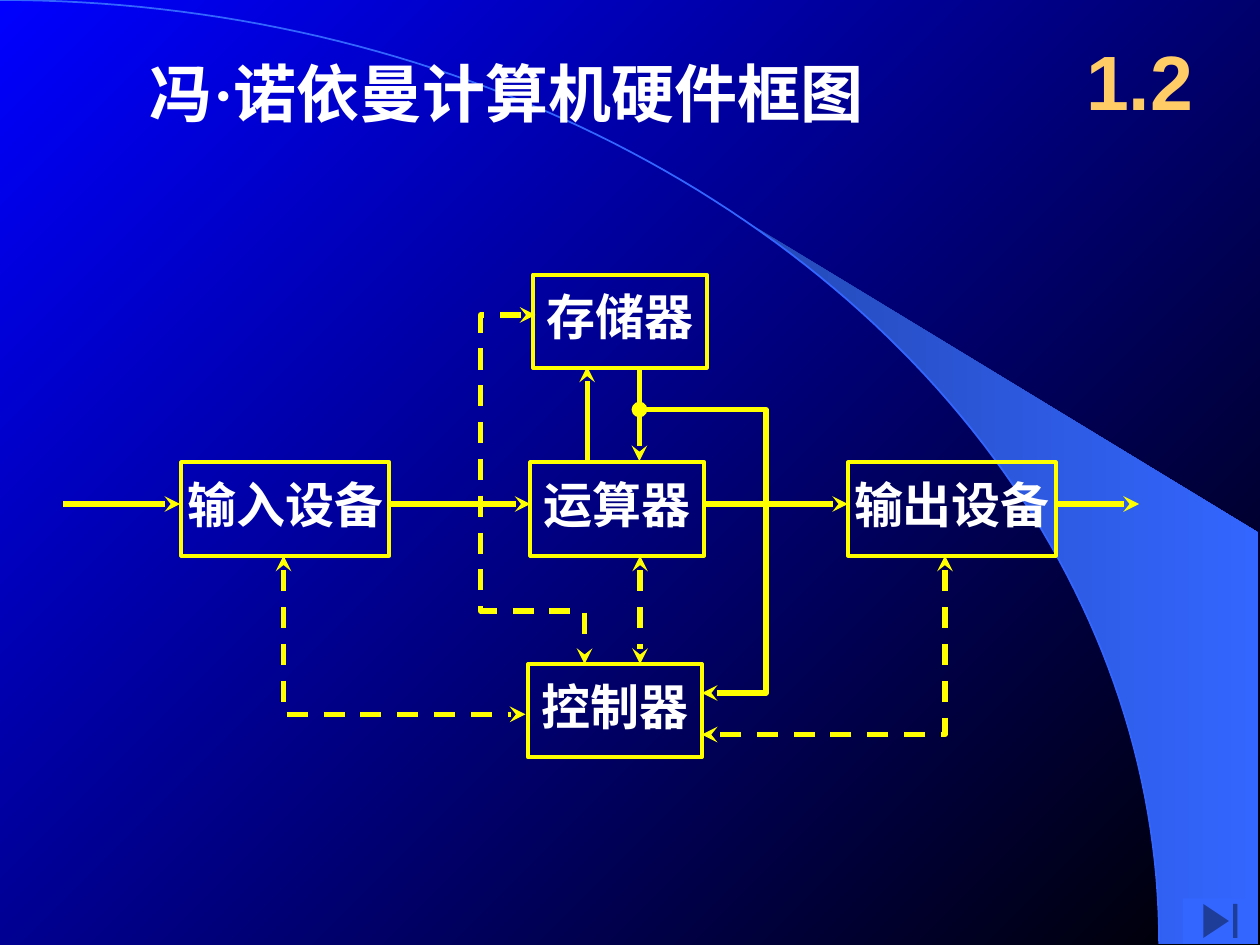
from dataclasses import dataclass
from math import cos, radians, sin

from lxml import etree
from pptx import Presentation
from pptx.dml.color import RGBColor
from pptx.enum.dml import MSO_LINE
from pptx.enum.shapes import MSO_CONNECTOR, MSO_SHAPE
from pptx.enum.text import MSO_ANCHOR, PP_ALIGN
from pptx.oxml.ns import qn
from pptx.util import Emu, Inches, Pt

RECTANGLE = MSO_SHAPE.RECTANGLE
END_BUTTON = MSO_SHAPE.ACTION_BUTTON_END
STRAIGHT = MSO_CONNECTOR.STRAIGHT
DASH = MSO_LINE.DASH
MIDDLE = MSO_ANCHOR.MIDDLE
CENTER = PP_ALIGN.CENTER

SLIDE_WIDTH, SLIDE_HEIGHT = Inches(10), Inches(7.5)
COLUMNS, ROWS = 100, 75
Point = tuple[float, float]


@dataclass(frozen=True)
class Theme:
    blue: RGBColor = RGBColor(0, 0, 255)
    black: RGBColor = RGBColor(0, 0, 0)
    white: RGBColor = RGBColor(255, 255, 255)
    diagram: RGBColor = RGBColor(255, 255, 0)
    number: RGBColor = RGBColor(255, 204, 102)
    accent: RGBColor = RGBColor(0x33, 0x66, 0xFF)
    accent_dark: RGBColor = RGBColor(0x24, 0x49, 0xB6)
    chinese: str = "Noto Sans CJK SC"
    serif: str = "Times New Roman"
    sans: str = "Arial"
    number_size: Pt = Pt(44)
    title_size: Pt = Pt(36)
    label_size: Pt = Pt(28)
    arc_line: Pt = Pt(1)
    box_line: Pt = Pt(2.25)
    wire_line: Pt = Pt(3)


THEME = Theme()


@dataclass(frozen=True)
class Unit:
    label: str
    column: float
    row: float
    width: float
    height: float = 7.4


@dataclass(frozen=True)
class Wire:
    points: tuple[Point, ...]
    head: str = ""
    dashed: bool = False


def control(*points: Point) -> Wire:
    return Wire(points, head="stealth", dashed=True)


def data(*points: Point, head: str = "") -> Wire:
    return Wire(points, head=head)


UNITS = (
    Unit("存储器", 42.3, 21.8, 13.8),
    Unit("输入设备", 14.4, 36.7, 16.5),
    Unit("运算器", 42.1, 36.7, 13.8),
    Unit("控制器", 41.9, 52.7, 13.8),
    Unit("输出设备", 67.3, 36.7, 16.5),
)

WIRES = (
    control((22.5, 44.1), (22.5, 56.7), (41.7, 56.7)),
    control((42.5, 25), (38.15, 25), (38.15, 48.5), (46.4, 48.5), (46.4, 52.7)),
    control((50.8, 44.1), (50.8, 52.7)),
    control((75, 44.1), (75, 58.3), (55.7, 58.3)),
    data((46.6, 36.7), (46.6, 29.1)),
    data((50.75, 29.2), (50.75, 36.6)),
    data((50.75, 32.5), (60.8, 32.5), (60.8, 55), (55.7, 55), head="oval"),
    data((5, 40), (14.3, 40)),
    data((30.9, 40), (42.1, 40)),
    data((55.9, 40), (67.3, 40)),
    data((84, 40), (90.4, 40)),
)


def across(columns: float) -> Emu:
    return Emu(round(SLIDE_WIDTH * columns / COLUMNS))


def down(rows: float) -> Emu:
    return Emu(round(SLIDE_HEIGHT * rows / ROWS))


def frame(column: float, row: float, width: float, height: float) -> tuple[Emu, ...]:
    return across(column), down(row), across(width), down(height)


def arc_points(first: int, last: int) -> list[Point]:
    return [(92 * sin(radians(angle)), 74.9 * (1 - cos(radians(angle))))
            for angle in range(first, last + 1)]


def add_outline(slide, points, close: bool):
    (left, top), *rest = [(across(column), down(row)) for column, row in points]
    builder = slide.shapes.build_freeform(left, top)
    builder.add_line_segments(rest, close=close)
    shape = builder.convert_to_shape()
    shape.shadow.inherit = False
    return shape


def set_gradient(fill, start: RGBColor, end: RGBColor, angle: float) -> None:
    fill.gradient()
    fill.gradient_angle = angle
    for stop, color in zip(fill.gradient_stops, (start, end)):
        stop.color.rgb = color


def set_line(line, color: RGBColor, width: Pt) -> None:
    line.color.rgb = color
    line.width = width


def set_font(font, typeface: str, size: Pt, color: RGBColor) -> None:
    font.name, font.size, font.bold = typeface, size, True
    font.color.rgb = color
    etree.SubElement(font._element, qn("a:ea"), typeface=typeface)


def draw_background(slide) -> None:
    set_gradient(slide.background.fill, THEME.blue, THEME.black, 315)
    corners = [(99.9, 74.9), (99.9, 42.3)]
    beam = add_outline(slide, corners + arc_points(40, 90), close=True)
    set_gradient(beam.fill, THEME.accent_dark, THEME.accent, 0)
    beam.line.fill.background()
    arc = add_outline(slide, arc_points(0, 90), close=False)
    arc.fill.background()
    set_line(arc.line, THEME.accent, THEME.arc_line)


def draw_heading(slide) -> None:
    number = slide.shapes.add_textbox(*frame(84.2, 1.7, 12.5, 9.2)).text_frame
    number.word_wrap = True
    number.vertical_anchor = MIDDLE
    paragraph = number.paragraphs[0]
    paragraph.text = "1.2"
    paragraph.alignment = CENTER
    set_font(paragraph.font, THEME.sans, THEME.number_size, THEME.number)

    title = slide.shapes.add_textbox(*frame(10.9, 3.8, 65.1, 7)).text_frame
    title.word_wrap = True
    for text, typeface in (("冯", THEME.chinese), ("·", THEME.serif),
                           ("诺依曼计算机硬件框图", THEME.chinese)):
        run = title.paragraphs[0].add_run()
        run.text = text
        set_font(run.font, typeface, THEME.title_size, THEME.white)


def draw_unit(slide, unit: Unit) -> None:
    box = slide.shapes.add_shape(
        RECTANGLE, *frame(unit.column, unit.row, unit.width, unit.height))
    box.shadow.inherit = False
    box.fill.background()
    set_line(box.line, THEME.diagram, THEME.box_line)
    text = box.text_frame
    text.margin_left = text.margin_right = text.margin_top = 0
    text.margin_bottom = down(0.8)
    text.word_wrap = False
    text.vertical_anchor = MIDDLE
    paragraph = text.paragraphs[0]
    paragraph.text = unit.label
    paragraph.alignment = CENTER
    set_font(paragraph.font, THEME.chinese, THEME.label_size, THEME.white)


def draw_wire(slide, wire: Wire) -> None:
    if len(wire.points) == 2:
        (left, top), (right, bottom) = wire.points
        shape = slide.shapes.add_connector(
            STRAIGHT, across(left), down(top), across(right), down(bottom))
    else:
        shape = add_outline(slide, wire.points, close=False)
        shape.fill.background()
    set_line(shape.line, THEME.diagram, THEME.wire_line)
    if wire.dashed:
        shape.line.dash_style = DASH
    properties = shape._element.spPr
    outline = properties.find(qn("a:ln"))
    if wire.head:
        etree.SubElement(outline, qn("a:headEnd"), type=wire.head)
    etree.SubElement(outline, qn("a:tailEnd"), type="stealth")
    if properties.find(qn("a:effectLst")) is None:
        etree.SubElement(properties, qn("a:effectLst"))


def draw_button(slide) -> None:
    button = slide.shapes.add_shape(END_BUTTON, *frame(93.9, 71.3, 5.9, 3.6))
    button.shadow.inherit = False
    button.fill.solid()
    button.fill.fore_color.rgb = THEME.accent
    button.line.fill.background()


def main() -> None:
    presentation = Presentation()
    presentation.slide_width, presentation.slide_height = SLIDE_WIDTH, SLIDE_HEIGHT
    slide = presentation.slides.add_slide(presentation.slide_layouts[6])
    draw_background(slide)
    draw_heading(slide)
    for unit in UNITS:
        draw_unit(slide, unit)
    for wire in WIRES:
        draw_wire(slide, wire)
    draw_button(slide)
    presentation.save("out.pptx")


if __name__ == "__main__":
    main()
